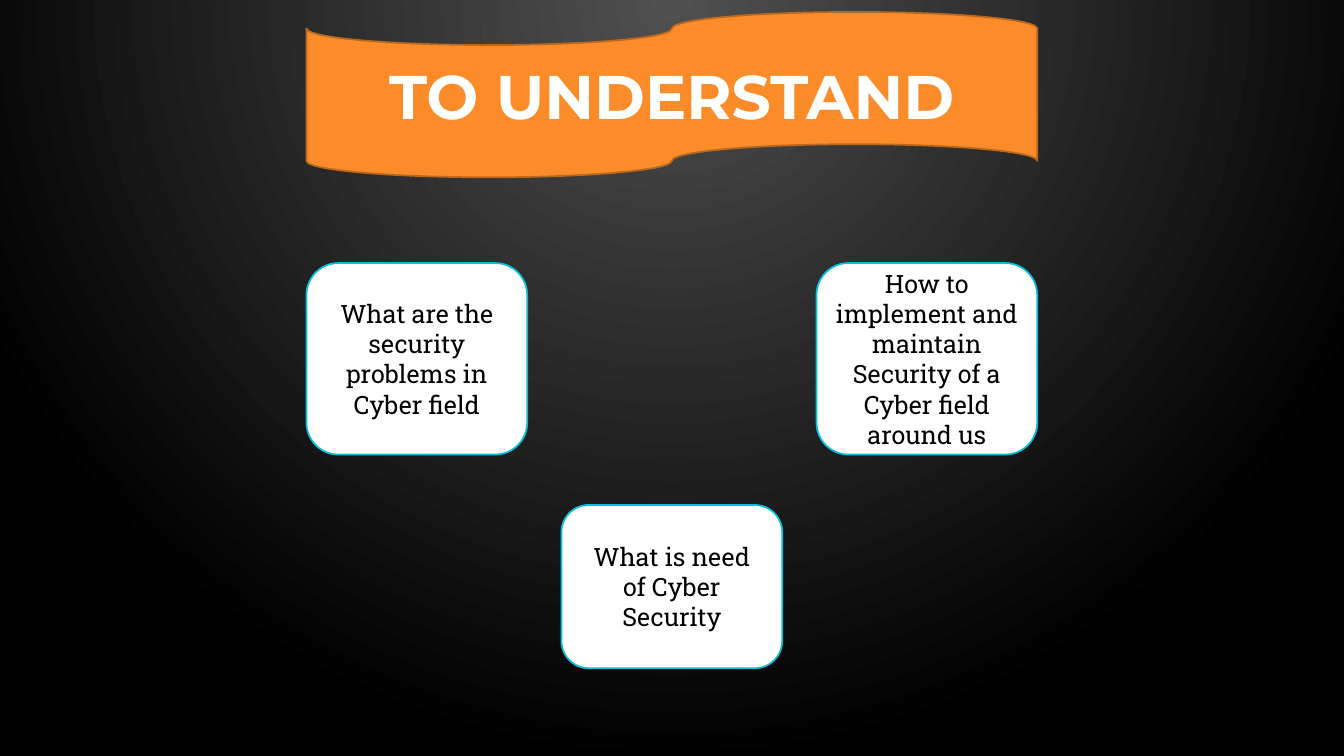
from dataclasses import dataclass

from lxml.etree import SubElement
from pptx import Presentation
from pptx.dml.color import RGBColor
from pptx.enum.shapes import MSO_SHAPE as Shape
from pptx.enum.text import MSO_ANCHOR as Anchor, PP_ALIGN as Align
from pptx.oxml.ns import qn
from pptx.slide import Slide
from pptx.util import Pt

WHITE = RGBColor(0xFF, 0xFF, 0xFF)
BLACK = RGBColor(0x00, 0x00, 0x00)
GREY = RGBColor(0x50, 0x50, 0x50)
ORANGE = RGBColor(0xFB, 0x8C, 0x29)
BROWN = RGBColor(0xBA, 0x68, 0x1E)
CYAN = RGBColor(0x06, 0xBF, 0xDE)

LEFT = 218.9
CARD_W = 157.7
COLUMN_STEP = 182.15
UPPER_TOP, UPPER_H = 187.9, 136.8
LOWER_TOP, LOWER_H = 360.7, 116.6


@dataclass(frozen=True)
class Style:
    shape: Shape
    fill: RGBColor
    line: RGBColor
    font: str
    size: float
    color: RGBColor
    bold: bool


@dataclass(frozen=True)
class Panel:
    text: str
    left: float
    top: float
    width: float
    height: float
    style: Style


BANNER = Style(Shape.FLOWCHART_PUNCHED_TAPE, ORANGE, BROWN, "Montserrat", 44, WHITE, True)
CARD = Style(Shape.ROUNDED_RECTANGLE, WHITE, CYAN, "Roboto Slab", 18, BLACK, False)


def card(text: str, column: int, top: float, height: float) -> Panel:
    return Panel(text, LEFT + column * COLUMN_STEP, top, CARD_W, height, CARD)


PANELS = [
    Panel("TO UNDERSTAND", LEFT, 8.6, 522, 118.1, BANNER),
    card("What is need of Cyber Security", 1, LOWER_TOP, LOWER_H),
    card("What are the security problems in Cyber field", 0, UPPER_TOP, UPPER_H),
    card("How to implement and maintain Security of a Cyber field around us",
         2, UPPER_TOP, UPPER_H),
]


def paint_background(s: Slide) -> None:
    fill = s.background.fill
    fill.gradient()
    for stop, position, color in zip(fill.gradient_stops, (0, 1), (GREY, BLACK)):
        stop.position = position
        stop.color.rgb = color
    grad = s.element.find(".//" + qn("a:gradFill"))
    grad.remove(grad.find(qn("a:lin")))
    circle = SubElement(grad, qn("a:path"), {"path": "circle"})
    SubElement(circle, qn("a:fillToRect"), {"l": "43000", "r": "43000", "b": "100000"})


def draw_panel(s: Slide, panel: Panel) -> None:
    style = panel.style
    sp = s.shapes.add_shape(style.shape, Pt(panel.left), Pt(panel.top),
                            Pt(panel.width), Pt(panel.height))
    sp.shadow.inherit = False
    sp.fill.solid()
    sp.fill.fore_color.rgb = style.fill
    sp.line.color.rgb = style.line
    sp.line.width = Pt(1.25)
    tf = sp.text_frame
    tf.word_wrap = True
    tf.vertical_anchor = Anchor.MIDDLE
    p = tf.paragraphs[0]
    p.alignment = Align.CENTER
    r = p.add_run()
    r.text = panel.text
    r.font.name = style.font
    r.font.size = Pt(style.size)
    r.font.bold = style.bold
    r.font.color.rgb = style.color


def main() -> None:
    prs = Presentation()
    prs.slide_width, prs.slide_height = Pt(960), Pt(540)
    s = prs.slides.add_slide(prs.slide_layouts[6])
    paint_background(s)
    for panel in PANELS:
        draw_panel(s, panel)
    prs.save("out.pptx")


if __name__ == "__main__":
    main()
